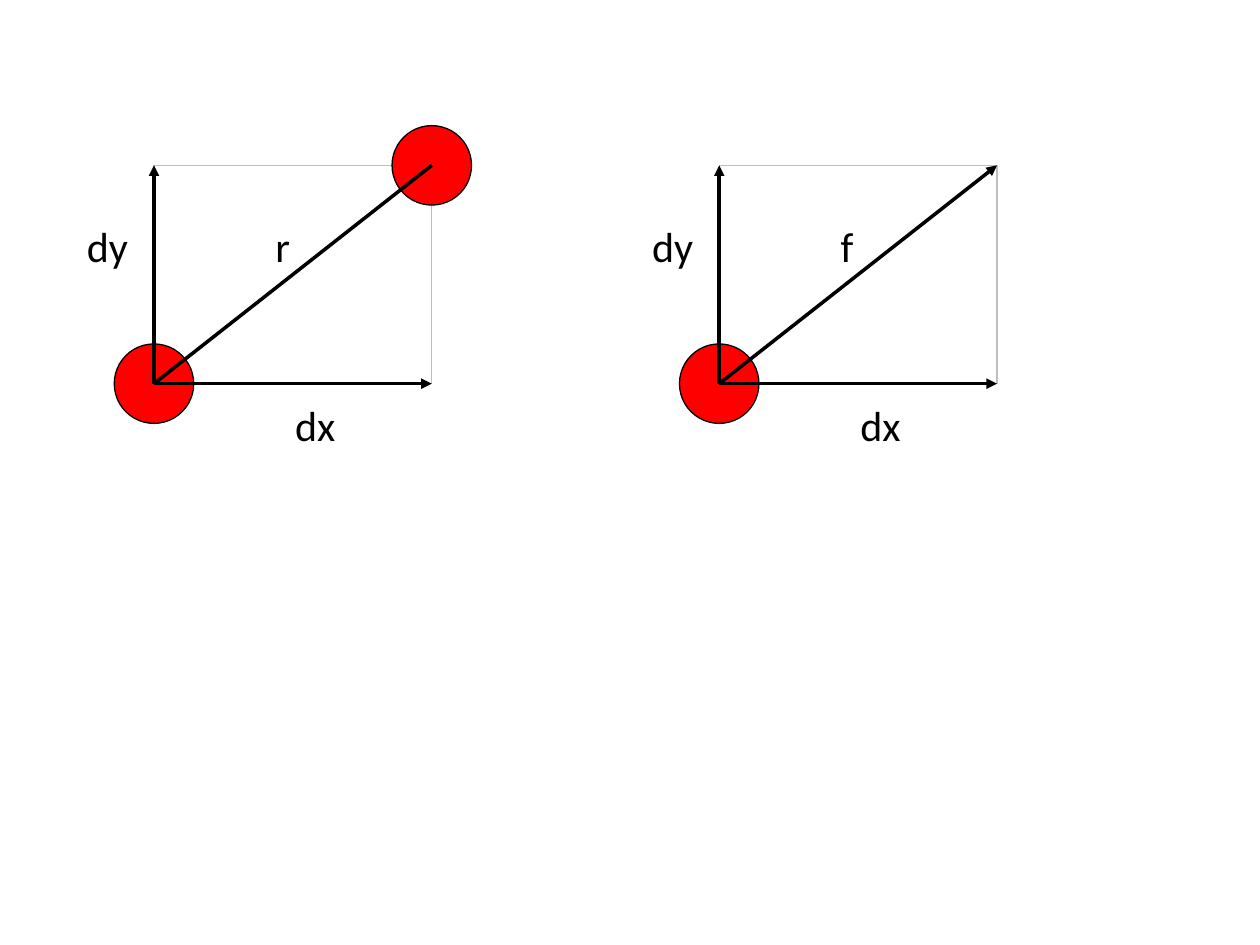
from dataclasses import dataclass

from lxml import etree
from pptx import Presentation
from pptx.dml.color import RGBColor
from pptx.enum import shapes, text
from pptx.oxml import ns
from pptx.util import Pt


@dataclass(frozen=True)
class Theme:
    ink: RGBColor = RGBColor(0, 0, 0)
    particle: RGBColor = RGBColor(255, 0, 0)
    frame: RGBColor = RGBColor(191, 191, 191)
    font: str = "Calibri"
    label_size: float = 24
    thin: float = 0.75
    thick: float = 2


class Sketch:
    """Draws on one slide; all lengths are in points."""

    def __init__(self, slide, theme):
        self.slide = slide
        self.theme = theme

    def shape(self, kind, left, top, width, height, line, fill=None):
        shape = self.slide.shapes.add_shape(
            kind, Pt(left), Pt(top), Pt(width), Pt(height))
        shape.shadow.inherit = False
        if fill is None:
            shape.fill.background()
        else:
            shape.fill.solid()
            shape.fill.fore_color.rgb = fill
        shape.line.color.rgb = line
        shape.line.width = Pt(self.theme.thin)

    def frame(self, left, top, width, height):
        self.shape(shapes.MSO_SHAPE.RECTANGLE, left, top, width, height,
                   self.theme.frame)

    def particle(self, x, y, radius):
        self.shape(shapes.MSO_SHAPE.OVAL, x - radius, y - radius,
                   2 * radius, 2 * radius, self.theme.ink, self.theme.particle)

    def line(self, start, end, arrow=True):
        connector = self.slide.shapes.add_connector(
            shapes.MSO_CONNECTOR.STRAIGHT, *map(Pt, start + end))
        connector.line.color.rgb = self.theme.ink
        connector.line.width = Pt(self.theme.thick)
        if arrow:
            etree.SubElement(connector.line._get_or_add_ln(),
                             ns.qn("a:tailEnd"), type="triangle")
        etree.SubElement(connector._element.spPr, ns.qn("a:effectLst"))

    def label(self, words, left, top, width, height=36):
        box = self.slide.shapes.add_textbox(
            Pt(left), Pt(top), Pt(width), Pt(height))
        box.text_frame.word_wrap = False
        box.text_frame.auto_size = text.MSO_AUTO_SIZE.SHAPE_TO_FIT_TEXT
        run = box.text_frame.paragraphs[0].add_run()
        run.text = words
        style = {"name": self.theme.font, "size": Pt(self.theme.label_size)}
        for name, value in style.items():
            setattr(run.font, name, value)
        run.font.color.rgb = self.theme.ink


WIDTH, HEIGHT, RADIUS = 158.75, 124.75, 22.7
TOP = 94.5
BOTTOM = TOP + HEIGHT


def vector_diagram(sketch, left, name, name_width, is_force):
    right = left + WIDTH
    origin, corner = (left, BOTTOM), (right, TOP)

    # Frame and particles
    sketch.frame(left, TOP, WIDTH, HEIGHT)
    sketch.particle(*origin, RADIUS)
    if not is_force:
        sketch.particle(*corner, RADIUS)

    # Vector and its components
    sketch.line(origin, corner, arrow=is_force)
    sketch.line(origin, (right, BOTTOM))
    sketch.line(origin, (left, TOP))

    # Labels
    sketch.label("dx", left + 73.5, BOTTOM + 5.5, 37.5)
    sketch.label("dy", left - 45.5, TOP + 28, 38)
    sketch.label(name, left + 62.25, TOP + 28, name_width)


presentation = Presentation()
presentation.slide_width, presentation.slide_height = Pt(720), Pt(540)
slide = presentation.slides.add_slide(presentation.slide_layouts[6])
sketch = Sketch(slide, Theme())

# Distance on the left, force on the right
vector_diagram(sketch, 88, "r", 23, is_force=False)
vector_diagram(sketch, 411, "f", 22.5, is_force=True)

presentation.save("out.pptx")
